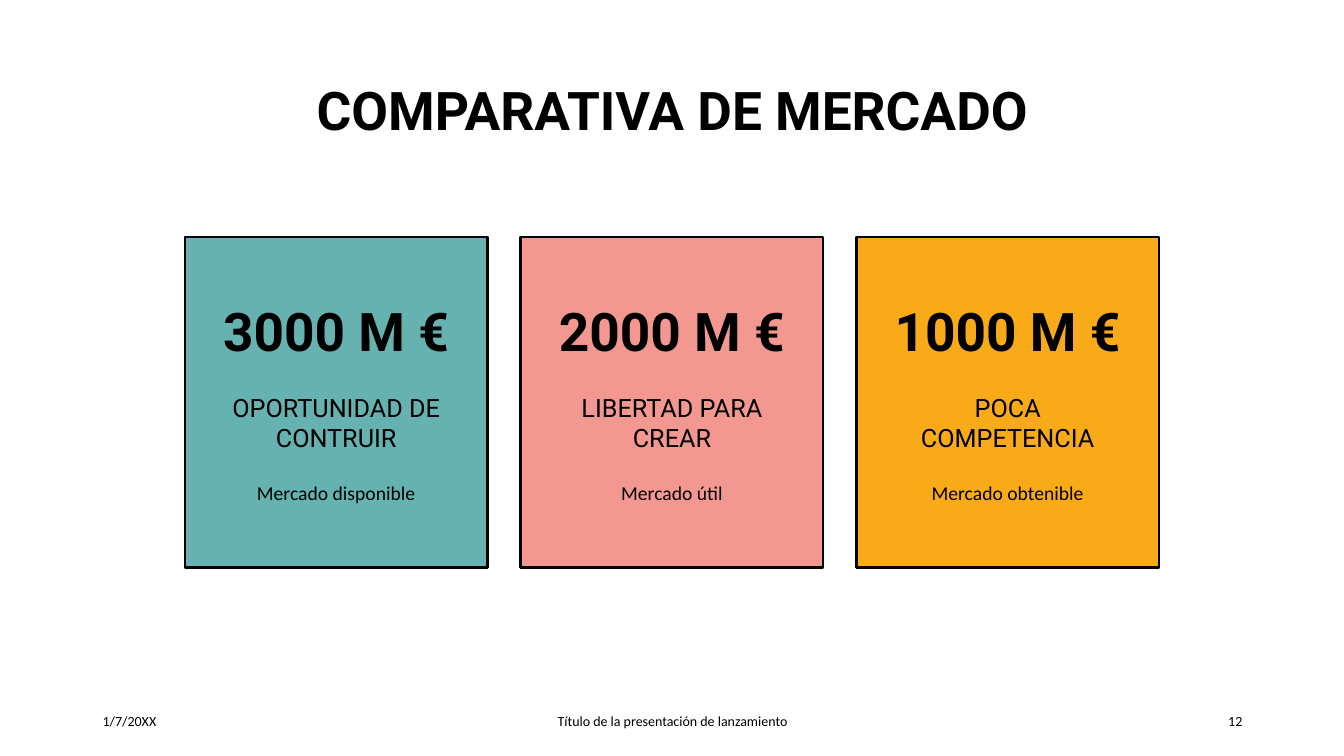
from dataclasses import dataclass

from pptx import Presentation
from pptx.dml.color import RGBColor
from pptx.enum.shapes import MSO_SHAPE as SHAPE
from pptx.enum.text import MSO_ANCHOR as ANCHOR, PP_ALIGN as ALIGN
from pptx.util import Inches, Pt


@dataclass(frozen=True)
class Theme:
    ink: str = "000000"
    paper: str = "FFFFFF"
    teal: str = "66B2B0"
    pink: str = "F39891"
    amber: str = "F9AA19"
    head_font: str = "Roboto"
    body_font: str = "Calibri"
    big: int = 38
    label: int = 18
    note: int = 14
    small: int = 10
    border: float = 1.75


THEME = Theme()
SLIDE_W, SLIDE_H = 13.33, 7.5
CARD_W, CARD_H, CARD_TOP, CARD_GAP = 3, 3.28, 2.35, 0.33

# Amount, label lines, note and fill of each market card
CARDS = [
    ("3000 M €", ["OPORTUNIDAD DE CONTRUIR"], "Mercado disponible", THEME.teal),
    ("2000 M €", ["LIBERTAD PARA CREAR"], "Mercado útil", THEME.pink),
    ("1000\u00a0M €", ["POCA", "COMPETENCIA"], "Mercado obtenible", THEME.amber),
]


def write(sp, lines, size, font=THEME.body_font, bold=False, align=ALIGN.CENTER,
          anchor=ANCHOR.TOP, spacing=None, margins=(0.1, 0.05, 0.1, 0.05)):
    """Fill a shape with one paragraph per line; margins run left, top, right, bottom."""
    tf = sp.text_frame
    tf.word_wrap = True
    tf.vertical_anchor = anchor
    tf.margin_left, tf.margin_top, tf.margin_right, tf.margin_bottom = map(Inches, margins)
    for i, line in enumerate(lines):
        p = tf.paragraphs[0] if i == 0 else tf.add_paragraph()
        p.alignment = align
        if spacing:
            p.line_spacing = spacing
        r = p.add_run()
        r.text = line
        r.font.name, r.font.size, r.font.bold = font, Pt(size), bold
        r.font.color.rgb = RGBColor.from_string(THEME.ink)


def add_text(slide, box, lines, size, **fmt):
    write(slide.shapes.add_textbox(*map(Inches, box)), lines, size, **fmt)


def add_title(slide, box, text):
    add_text(slide, box, [text], THEME.big, font=THEME.head_font, bold=True,
             anchor=ANCHOR.MIDDLE, spacing=0.9)


def add_card(slide, box, amount, label, note, fill):
    x, y, w, h = box
    # Bordered panel with the amount
    sp = slide.shapes.add_shape(SHAPE.RECTANGLE, *map(Inches, box))
    sp.shadow.inherit = False
    sp.fill.solid()
    sp.fill.fore_color.rgb = RGBColor.from_string(fill)
    sp.line.color.rgb = RGBColor.from_string(THEME.ink)
    sp.line.width = Pt(THEME.border)
    write(sp, [amount], THEME.big, font=THEME.head_font, bold=True, spacing=0.9,
          margins=(0, 0.68, 0, 0))
    # Label and note, inset on both sides
    inset = 0.25
    add_text(slide, (x + inset, y + 1.49, w - 2 * inset, 0.8), label, THEME.label,
             font=THEME.head_font)
    add_text(slide, (x + inset, y + 2.33, w - 2 * inset, 0.7), [note], THEME.note,
             spacing=Pt(20))


def add_cards(slide, top):
    pitch = CARD_W + CARD_GAP
    left = (SLIDE_W - len(CARDS) * pitch + CARD_GAP) / 2
    for i, card in enumerate(CARDS):
        add_card(slide, (left + i * pitch, top, CARD_W, CARD_H), *card)


def add_footer(slide, box, date, text, number):
    x, y, w, h = box
    side, middle = 3, 4.5
    parts = [
        (x, side, date, ALIGN.LEFT),
        (x + (w - middle) / 2, middle, text, ALIGN.CENTER),
        (x + w - side, side, number, ALIGN.RIGHT),
    ]
    for left, width, words, align in parts:
        add_text(slide, (left, y, width, h), [words], THEME.small, align=align,
                 anchor=ANCHOR.MIDDLE)


def main():
    prs = Presentation()
    prs.slide_width, prs.slide_height = Inches(SLIDE_W), Inches(SLIDE_H)
    slide = prs.slides.add_slide(prs.slide_layouts[6])
    slide.background.fill.solid()
    slide.background.fill.fore_color.rgb = RGBColor.from_string(THEME.paper)

    add_title(slide, (0.92, 0.4, 11.5, 1.45), "COMPARATIVA DE MERCADO")
    add_cards(slide, CARD_TOP)
    add_footer(slide, (0.92, 6.95, 11.5, 0.4), "1/7/20XX",
               "Título de la presentación de lanzamiento", "12")
    prs.save("out.pptx")


if __name__ == "__main__":
    main()
